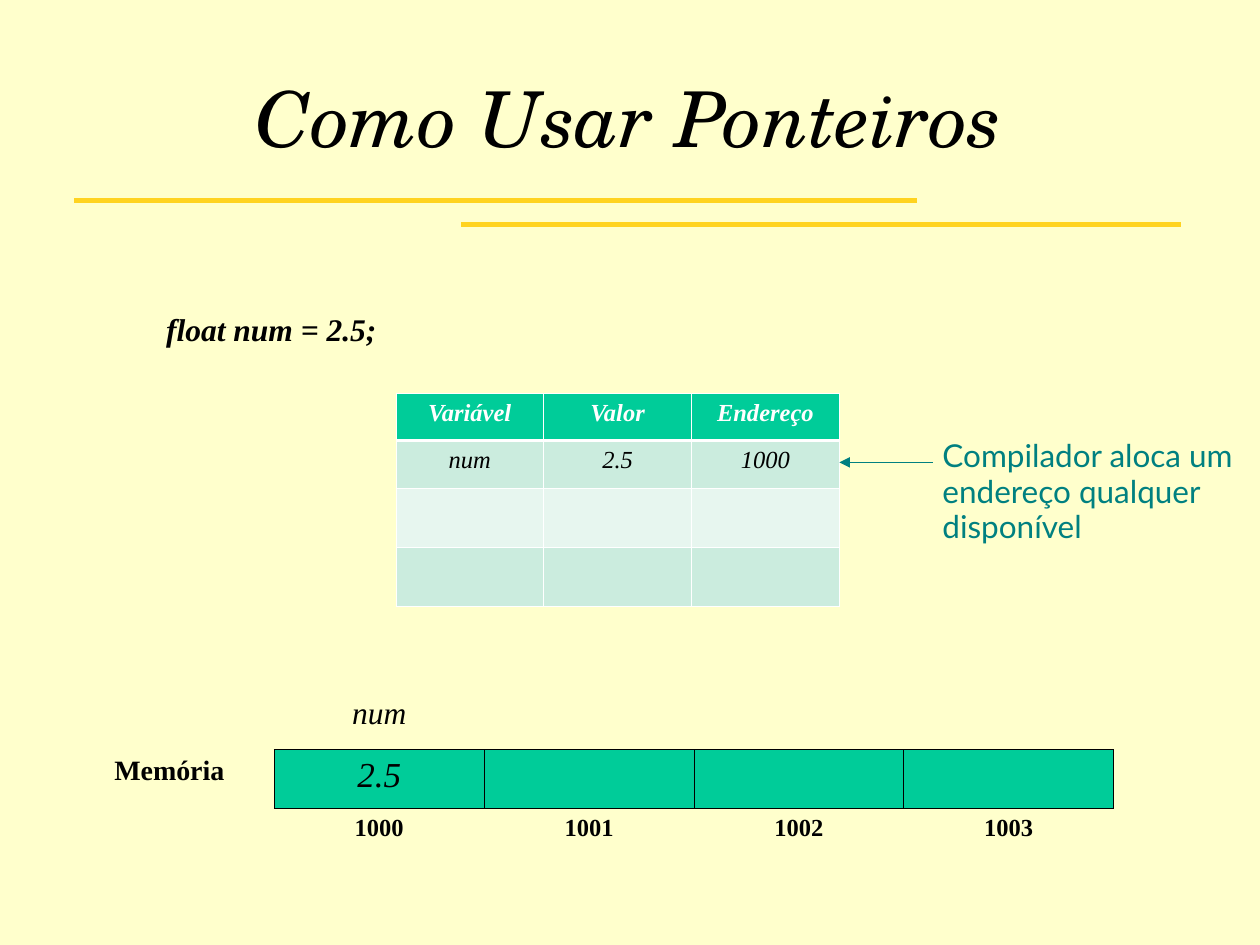
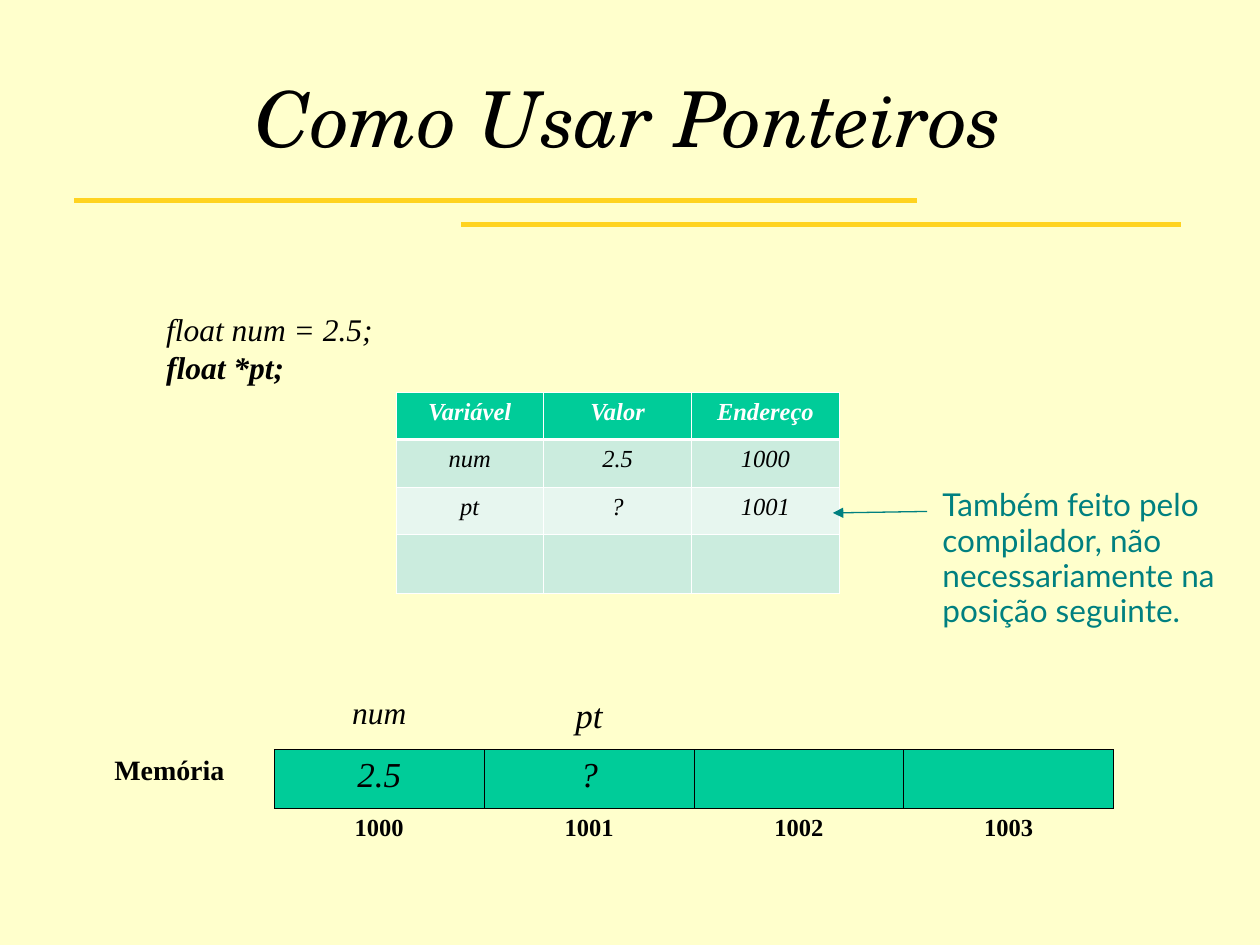
import lxml.etree
import pptx
import pptx.dml.color
import pptx.enum.shapes
import pptx.enum.text
import pptx.oxml.ns
import pptx.util

Cm = pptx.util.Cm
Pt = pptx.util.Pt
RGBColor = pptx.dml.color.RGBColor
qn = pptx.oxml.ns.qn
SubElement = lxml.etree.SubElement
ALIGN = pptx.enum.text.PP_ALIGN
ANCHOR = pptx.enum.text.MSO_ANCHOR

CREAM = RGBColor(0xFF, 0xFF, 0xCC)
YELLOW = RGBColor(0xFF, 0xD3, 0x20)
GREEN = RGBColor(0x00, 0xCC, 0x99)
GREEN_BAND = RGBColor(0xCB, 0xEC, 0xDE)
GREEN_PALE = RGBColor(0xE7, 0xF6, 0xEF)
TEAL = RGBColor(0x00, 0x80, 0x80)
BLACK = RGBColor(0x00, 0x00, 0x00)
WHITE = RGBColor(0xFF, 0xFF, 0xFF)

TITLE_FONT = "TeX Gyre Schola"
SERIF = "Times New Roman"
SANS = "Lato"

HEADER = dict(size=14, bold=True, italic=True, color=WHITE)
ENTRY = dict(size=14, italic=True)
CONTENT = dict(size=20, italic=True)
ADDRESS = dict(size=14, bold=True)
BLANK = ("", dict(size=24))

# Edge tag and the step to the neighbouring cell, in schema order
EDGES = [("lnL", 0, -1), ("lnR", 0, 1), ("lnT", -1, 0), ("lnB", 1, 0)]


def write(paragraph, text, size, font=SERIF, bold=False, italic=False, color=BLACK,
          align=ALIGN.LEFT, before=0, spacing=None):
    paragraph.alignment = align
    paragraph.space_before = Pt(before)
    if spacing:
        paragraph.line_spacing = spacing
    if not text:
        # An empty cell keeps its height through the end mark
        end_mark = SubElement(paragraph._p, qn("a:endParaRPr"), sz=str(size * 100))
        SubElement(end_mark, qn("a:latin"), typeface=font)
        return
    run = paragraph.add_run()
    run.text = text
    run.font.size = Pt(size)
    run.font.name = font
    run.font.bold = bold
    run.font.italic = italic
    run.font.color.rgb = color


def add_grid(slide, left, top, column_width, row_heights, rows, fills, edge_color,
             header_edge=0.45, before=0):
    """Add a table whose borders surround its filled cells only."""
    columns = len(rows[0])
    grid = slide.shapes.add_table(len(rows), columns, Cm(left), Cm(top),
                                  Cm(column_width * columns), Cm(sum(row_heights))).table
    grid.first_row = grid.horz_banding = False
    for column in grid.columns:
        column.width = Cm(column_width)
    for r, entries in enumerate(rows):
        grid.rows[r].height = Cm(row_heights[r])
        for c, (text, look) in enumerate(entries):
            cell = grid.cell(r, c)
            write(cell.text_frame.paragraphs[0], text, align=ALIGN.CENTER,
                  before=before, **look)
            properties = cell._tc.get_or_add_tcPr()
            for tag, down, across in EDGES:
                under_header = sorted((r, r + down)) == [0, 1]
                width = Pt(header_edge if under_header else 0.45)
                edge = SubElement(properties, qn(f"a:{tag}"), w=str(int(width)))
                if fills.get((r, c)) or fills.get((r + down, c + across)):
                    paint = SubElement(edge, qn("a:solidFill"))
                    SubElement(paint, qn("a:srgbClr"), val=str(edge_color))
                else:
                    SubElement(edge, qn("a:noFill"))
            if (r, c) in fills:
                cell.fill.solid()
                cell.fill.fore_color.rgb = fills[r, c]
            else:
                cell.fill.background()


steps = [
    dict(
        code=[("float num = 2.5;", True)],
        code_size=(4.75, 1.02),
        symbols=[("num", "2.5", "1000")],
        symbols_top=7.92,
        memory_names=[("num", dict(size=18, italic=True))],
        memory_values=["2.5"],
        remark="Compilador aloca um endereço qualquer disponível",
        remark_top=8.74,
        arrow=(18.8, 9.32, 16.92, 9.32),
    ),
    dict(
        code=[("float num = 2.5;", False), ("float *pt;", True)],
        code_size=(4.67, 2.54),
        symbols=[("num", "2.5", "1000"), ("pt", "?", "1001")],
        symbols_top=7.9,
        memory_names=[("num", dict(size=18, italic=True)), ("pt", CONTENT)],
        memory_values=["2.5", "?"],
        remark="Também feito pelo compilador, não necessariamente na posição seguinte.",
        remark_top=9.73,
        arrow=(18.69, 10.31, 16.79, 10.34),
    ),
]

deck = pptx.Presentation()
deck.slide_width = Cm(25.4)
deck.slide_height = Cm(19.05)

master = deck.slide_master
master.background.fill.solid()
master.background.fill.fore_color.rgb = CREAM
title_only = deck.slide_layouts[5]
title_place = title_only.placeholders[0]
title_place.left, title_place.top = Cm(1.27), Cm(0.36)
title_place.width, title_place.height = Cm(22.83), Cm(3.99)

symbol_fills = {(r, c): shade
                for r, shade in enumerate([GREEN, GREEN_BAND, GREEN_PALE, GREEN_BAND])
                for c in range(3)}
memory_fills = {(1, c): GREEN for c in range(1, 5)}
lines = []

for step in steps:
    slide = deck.slides.add_slide(title_only)
    heading = slide.shapes.title.text_frame
    heading.vertical_anchor = ANCHOR.MIDDLE
    write(heading.paragraphs[0], "Como Usar Ponteiros", 44, font=TITLE_FONT,
          italic=True, align=ALIGN.CENTER)

    symbol_rows = [[(name, HEADER) for name in ("Variável", "Valor", "Endereço")]]
    symbol_rows += [[(text, ENTRY) for text in symbol] for symbol in step["symbols"]]
    symbol_rows += [[BLANK] * 3] * (4 - len(symbol_rows))
    add_grid(slide, 7.98, step["symbols_top"], 2.98, [0.96] * 4, symbol_rows,
             symbol_fills, WHITE, header_edge=1.47)

    names = [BLANK] + step["memory_names"]
    values = [("Memória", dict(size=16, bold=True))]
    values += [(value, CONTENT) for value in step["memory_values"]]
    addresses = [("", ADDRESS | dict(bold=False))]
    addresses += [(str(address), ADDRESS) for address in range(1000, 1004)]
    memory_rows = [row + [BLANK] * (5 - len(row)) for row in (names, values, addresses)]
    add_grid(slide, 1.3, 13.92, 4.23, [1.12, 1.12, 1.02], memory_rows,
             memory_fills, BLACK, before=8)

    code_width, code_height = step["code_size"]
    code = slide.shapes.add_textbox(Cm(3.1), Cm(6.12), Cm(code_width),
                                    Cm(code_height)).text_frame
    code.word_wrap = False
    for number, (statement, is_new) in enumerate(step["code"]):
        paragraph = code.add_paragraph() if number else code.paragraphs[0]
        write(paragraph, statement, 18, bold=is_new, italic=True)

    remark = slide.shapes.add_textbox(Cm(18.75), Cm(step["remark_top"]), Cm(6.65),
                                      Cm(0.97)).text_frame
    remark.word_wrap = True
    write(remark.paragraphs[0], step["remark"], 18, font=SANS, color=TEAL, spacing=0.93)
    lines.append((slide, step["arrow"], TEAL, 0.75, True))

# The two title rules belong to the master, the arrows to their slides
lines.append((slide, (1.5, 4.04, 18.49, 4.04), YELLOW, 2.83, False))
lines.append((slide, (9.3, 4.52, 23.8, 4.52), YELLOW, 2.83, False))
for slide, ends, color, width, is_arrow in lines:
    line = slide.shapes.add_connector(pptx.enum.shapes.MSO_CONNECTOR.STRAIGHT,
                                      *[Cm(length) for length in ends])
    line.line.color.rgb = color
    line.line.width = Pt(width)
    SubElement(line._element.spPr, qn("a:effectLst"))
    if is_arrow:
        SubElement(line.line._get_or_add_ln(), qn("a:tailEnd"), type="triangle")
    else:
        master.shapes._spTree.append(line._element)

deck.save("out.pptx")
